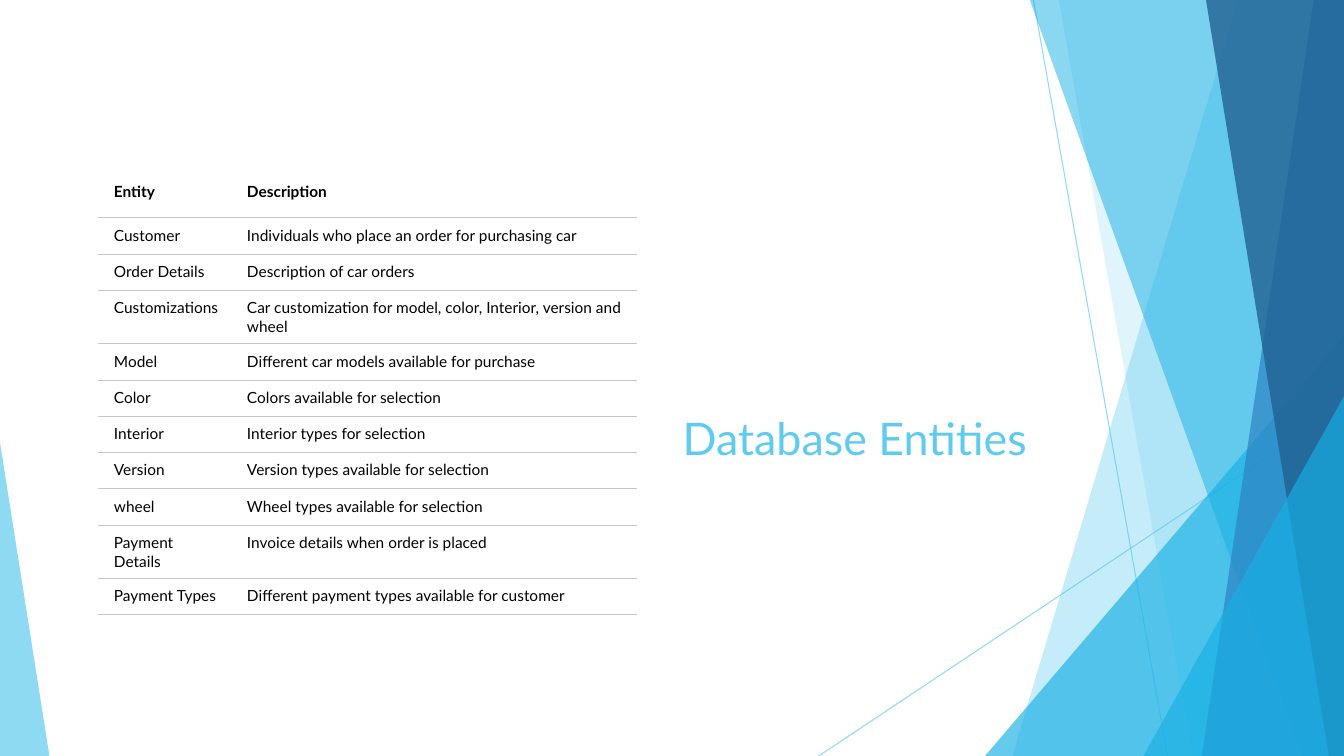
import pptx
import pptx.dml.color
import pptx.enum.shapes
import pptx.enum.text
import pptx.oxml
import pptx.oxml.ns
import pptx.util
from pptx.util import Inches

FONT = "Lato"
SKY, CYAN, BLUE, NAVY = "5FCBEF", "17B0E4", "2E83C3", "226292"
RULE = "C7C6C1"
NO_STYLE = "{2D5ABB26-0587-4C30-8999-92F81FD0307C}"
RIGHT, TOP, BOTTOM = 13.33, -0.01, 7.5

ENTITIES = [
    ("Entity", "Description"),
    ("Customer", "Individuals who place an order for purchasing car"),
    ("Order Details", "Description of car orders"),
    ("Customizations", "Car customization for model, color, Interior, version and wheel"),
    ("Model", "Different car models available for purchase"),
    ("Color", "Colors available for selection"),
    ("Interior", "Interior types for selection"),
    ("Version", "Version types available for selection"),
    ("wheel", "Wheel types available for selection"),
    ("Payment Details", "Invoice details when order is placed"),
    ("Payment Types", "Different payment types available for customer"),
]


def rgb(color):
    """Turn a hex string into a colour value."""
    return pptx.dml.color.RGBColor.from_string(color)


def xml(tag, **attrs):
    """Make one DrawingML element."""
    el = pptx.oxml.parse_xml(f"<a:{tag} {pptx.oxml.ns.nsdecls('a')}/>")
    for name, value in attrs.items():
        el.set(name, str(value))
    return el


def paint(fill, color, alpha):
    """Fill with a solid colour at an opacity in percent."""
    fill.solid()
    fill.fore_color.rgb = rgb(color)
    clr = fill._xPr.find(".//" + pptx.oxml.ns.qn("a:srgbClr"))
    clr.append(xml("alpha", val=alpha * 1000))


def write(tf, text, color, fmt):
    """Put one formatted run into a text frame."""
    p = tf.paragraphs[0]
    p.alignment = pptx.enum.text.PP_ALIGN.LEFT
    r = p.add_run()
    r.text = text
    r.font.color.rgb = rgb(color)
    for name, value in {"name": FONT, **fmt}.items():
        setattr(r.font, name, value)


def add_line(s, x1, y1, x2, y2):
    """Draw a thin translucent line."""
    ends = [Inches(v) for v in (x1, y1, x2, y2)]
    cn = s.shapes.add_connector(pptx.enum.shapes.MSO_CONNECTOR.STRAIGHT, *ends)
    cn.line.width = pptx.util.Pt(0.75)
    paint(cn.line.fill, SKY, 70)
    cn._element.spPr.append(xml("effectLst"))


def finish(sp, color, alpha):
    """Give a shape a translucent fill without outline or shadow."""
    sp.shadow.inherit = False
    sp.line.fill.background()
    paint(sp.fill, color, alpha)


def add_band(s, top_x, bottom_x, color, alpha):
    """Draw a full-height band from a slanted left edge to the slide's right."""
    pts = [(Inches(x), Inches(y)) for x, y in
           ((top_x, TOP), (RIGHT, TOP), (RIGHT, BOTTOM), (bottom_x, BOTTOM))]
    fb = s.shapes.build_freeform(*pts[0])
    fb.add_line_segments(pts[1:], close=True)
    finish(fb.convert_to_shape(), color, alpha)


def add_triangle(s, x, y, w, apex, color, alpha):
    """Draw a right-angled triangle standing on the slide's bottom."""
    box = [Inches(v) for v in (x, y, w, BOTTOM - y)]
    sp = s.shapes.add_shape(pptx.enum.shapes.MSO_SHAPE.ISOSCELES_TRIANGLE, *box)
    sp.adjustments[0] = apex
    finish(sp, color, alpha)


def add_title(s, text):
    """Place and format the title placeholder."""
    sp = s.shapes.title
    box = {"left": 6.67, "top": 1.38, "width": 3.82, "height": 3.28}
    for name, value in box.items():
        setattr(sp, name, Inches(value))
    tf = sp.text_frame
    tf.word_wrap = True
    tf.vertical_anchor = pptx.enum.text.MSO_ANCHOR.BOTTOM
    write(tf, text, SKY, {"size": pptx.util.Pt(32)})
    s.shapes._spTree.append(sp._element)


def rule_below(cell):
    """Draw a thin rule under a cell."""
    ln = xml("lnB", w=pptx.util.Pt(0.75))
    fill = xml("solidFill")
    fill.append(xml("srgbClr", val=RULE))
    ln.append(fill)
    cell._tc.get_or_add_tcPr().insert(0, ln)


def add_entity_table(s, rows):
    """Add the ruled table of entities."""
    gf = s.shapes.add_table(len(rows), 2, Inches(0.97), Inches(1.73),
                            Inches(5.35), Inches(4.03))
    table = gf.table
    table.horz_banding = False
    table._tbl.tblPr.find(pptx.oxml.ns.qn("a:tableStyleId")).text = NO_STYLE
    for col, width in zip(table.columns, (1.32, 4.03)):
        col.width = Inches(width)
    margins = {"margin_left": 0.16, "margin_top": 0.08,
               "margin_right": 0.12, "margin_bottom": 0.08}
    for i, texts in enumerate(rows):
        table.rows[i].height = Inches(0.36 if i else 0.43)
        for j, text in enumerate(texts):
            cell = table.cell(i, j)
            for name, value in margins.items():
                setattr(cell, name, Inches(value))
            cell.fill.background()
            write(cell.text_frame, text, "000000",
                  {"size": pptx.util.Pt(11), "bold": i == 0})
            rule_below(cell)


def main():
    """Build the slide and save it."""
    prs = pptx.Presentation()
    prs.slide_width, prs.slide_height = Inches(13.33), Inches(7.5)
    s = prs.slides.add_slide(prs.slide_layouts[5])
    add_line(s, 10.25, 0, 11.58, 7.5)
    add_line(s, 13.33, 4.03, 8.12, 7.5)
    add_band(s, 12.28, 10.04, SKY, 36)
    add_band(s, 10.5, 11.83, SKY, 20)
    add_triangle(s, 9.77, 3.33, 3.56, 1, CYAN, 66)
    add_band(s, 10.21, 12.91, CYAN, 50)
    add_band(s, 13.03, 11.92, BLUE, 70)
    add_band(s, 11.96, 13.18, NAVY, 80)
    add_triangle(s, 11.34, 3.93, 1.99, 1, CYAN, 66)
    add_triangle(s, 0, 4.39, 0.49, 0, SKY, 70)
    add_title(s, "Database Entities")
    add_entity_table(s, ENTITIES)
    prs.save("out.pptx")


if __name__ == "__main__":
    main()
